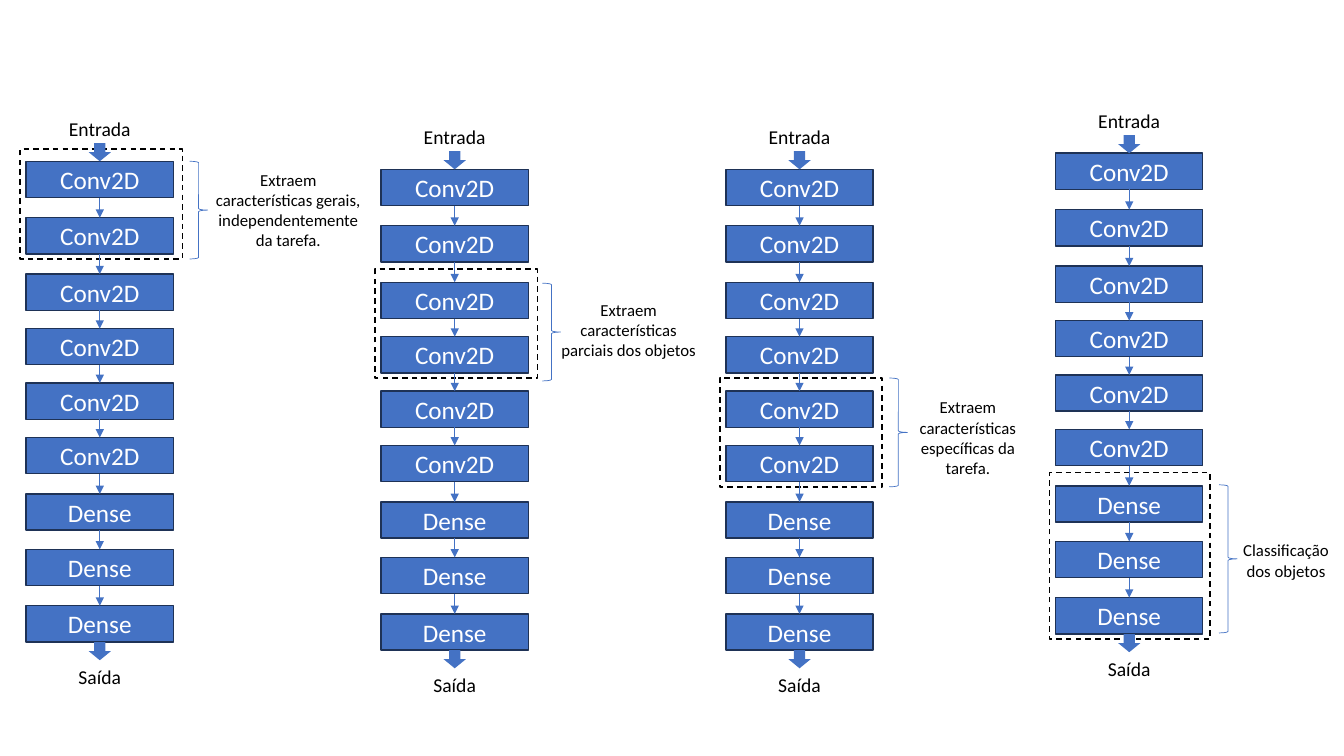
from dataclasses import dataclass
from itertools import pairwise

from lxml.etree import SubElement
from pptx import Presentation
from pptx.dml.color import RGBColor
from pptx.enum.dml import MSO_LINE
from pptx.enum.shapes import MSO_CONNECTOR, MSO_SHAPE as Shape
from pptx.enum.text import MSO_ANCHOR, MSO_AUTO_SIZE, PP_ALIGN
from pptx.oxml.ns import qn
from pptx.util import Inches, Pt

BLUE = RGBColor(0x44, 0x72, 0xC4)
NAVY = RGBColor(0x1E, 0x32, 0x56)
BLACK = RGBColor(0, 0, 0)
WHITE = RGBColor(0xFF, 0xFF, 0xFF)
FONT = "Calibri"

LAYERS = ["Conv2D"] * 6 + ["Dense"] * 3
LAYER_TOPS = [0, 0.56, 1.12, 1.66, 2.2, 2.74, 3.3, 3.85, 4.41]
LAYER_WIDTH, LAYER_HEIGHT = 1.46, 0.36
ARROW_WIDTH, ARROW_HEIGHT = 0.22, 0.18
LABEL_HEIGHT = 0.34
BRACE_WIDTH = 0.18


@dataclass
class Network:
    """A column of layers; parts are (left, top, width, height) from its first layer."""
    left: float
    top: float
    frame: tuple
    brace: tuple
    note: tuple
    text: str


NETWORKS = [
    Network(0.26, 1.6, (-0.06, -0.12, 1.61, 1.09), (1.62, 0, BRACE_WIDTH, 0.97),
            (1.75, 0.03, 1.7, 0.91),
            "Extraem características gerais, independentemente da tarefa."),
    Network(7.2, 1.68, (-0.06, 2.07, 1.61, 1.08), (1.62, 2.07, BRACE_WIDTH, 1.08),
            (1.71, 2.21, 1.38, 0.91),
            "Extraem características específicas da tarefa."),
    Network(10.47, 1.52, (-0.06, 3.17, 1.59, 1.65), (1.62, 3.29, BRACE_WIDTH, 1.47),
            (1.71, 3.79, 1.15, 0.5), "Classificação dos objetos"),
    Network(3.78, 1.68, (-0.06, 0.99, 1.61, 1.08), (1.6, 1.13, BRACE_WIDTH, 0.97),
            (1.68, 1.24, 1.55, 0.71),
            "Extraem características parciais dos objetos"),
]


def place(network, part):
    left, top, width, height = part
    return (Inches(network.left + left), Inches(network.top + top),
            Inches(width), Inches(height))


def write(box, text, size, color):
    box.text_frame.word_wrap = True
    para = box.text_frame.paragraphs[0]
    para.text = text
    para.alignment = PP_ALIGN.CENTER
    para.font.name = FONT
    para.font.size = Pt(size)
    para.font.color.rgb = color


def add_text(shapes, bounds, text, size):
    box = shapes.add_textbox(*bounds)
    write(box, text, size, BLACK)
    box.text_frame.auto_size = MSO_AUTO_SIZE.SHAPE_TO_FIT_TEXT


def add_box(shapes, kind, bounds, fill=None, line=None, weight=1):
    box = shapes.add_shape(kind, *bounds)
    box.shadow.inherit = False
    if fill is None:
        box.fill.background()
    else:
        box.fill.solid()
        box.fill.fore_color.rgb = fill
    if line is None:
        box.line.fill.background()
    else:
        box.line.color.rgb = line
        box.line.width = Pt(weight)
    return box


def add_link(shapes, upper, lower):
    link = shapes.add_connector(MSO_CONNECTOR.STRAIGHT, 0, 0, 0, 0)
    link.begin_connect(upper, 2)
    link.end_connect(lower, 0)
    link.line.color.rgb = BLUE
    link.line.width = Pt(0.5)
    SubElement(link.line._get_or_add_ln(), qn("a:tailEnd"), type="triangle")
    SubElement(link._element.spPr, qn("a:effectLst"))


def add_network(slide, network):
    shapes = slide.shapes.add_group_shape().shapes

    # Dashed frame around the highlighted layers
    frame = add_box(shapes, Shape.RECTANGLE, place(network, network.frame), line=BLACK)
    frame.line.dash_style = MSO_LINE.DASH

    # Layers and the thin arrows between them
    layers = []
    for name, top in zip(LAYERS, LAYER_TOPS):
        bounds = place(network, (0, top, LAYER_WIDTH, LAYER_HEIGHT))
        layer = add_box(shapes, Shape.RECTANGLE, bounds, BLUE, NAVY)
        write(layer, name, 18, WHITE)
        layer.text_frame.vertical_anchor = MSO_ANCHOR.MIDDLE
        layers.append(layer)
    for upper, lower in pairwise(layers):
        add_link(shapes, upper, lower)

    # Input and output: block arrow with its label
    bottom = LAYER_TOPS[-1] + LAYER_HEIGHT
    arrow_left = (LAYER_WIDTH - ARROW_WIDTH) / 2
    for text, arrow_top, label_top in [("Entrada", -ARROW_HEIGHT, -0.49),
                                       ("Saída", bottom, bottom + ARROW_HEIGHT)]:
        arrow = (arrow_left, arrow_top, ARROW_WIDTH, ARROW_HEIGHT)
        add_box(shapes, Shape.DOWN_ARROW, place(network, arrow), BLUE)
        label = (0, label_top, LAYER_WIDTH, LABEL_HEIGHT)
        add_text(shapes, place(network, label), text, 14)

    # Brace and explanation
    add_box(shapes, Shape.RIGHT_BRACE, place(network, network.brace), line=BLUE, weight=0.5)
    add_text(shapes, place(network, network.note), network.text, 12)


def main():
    deck = Presentation()
    deck.slide_width, deck.slide_height = Inches(13.33), Inches(7.5)
    slide = deck.slides.add_slide(deck.slide_layouts[6])
    for network in NETWORKS:
        add_network(slide, network)
    deck.save("out.pptx")


if __name__ == "__main__":
    main()
